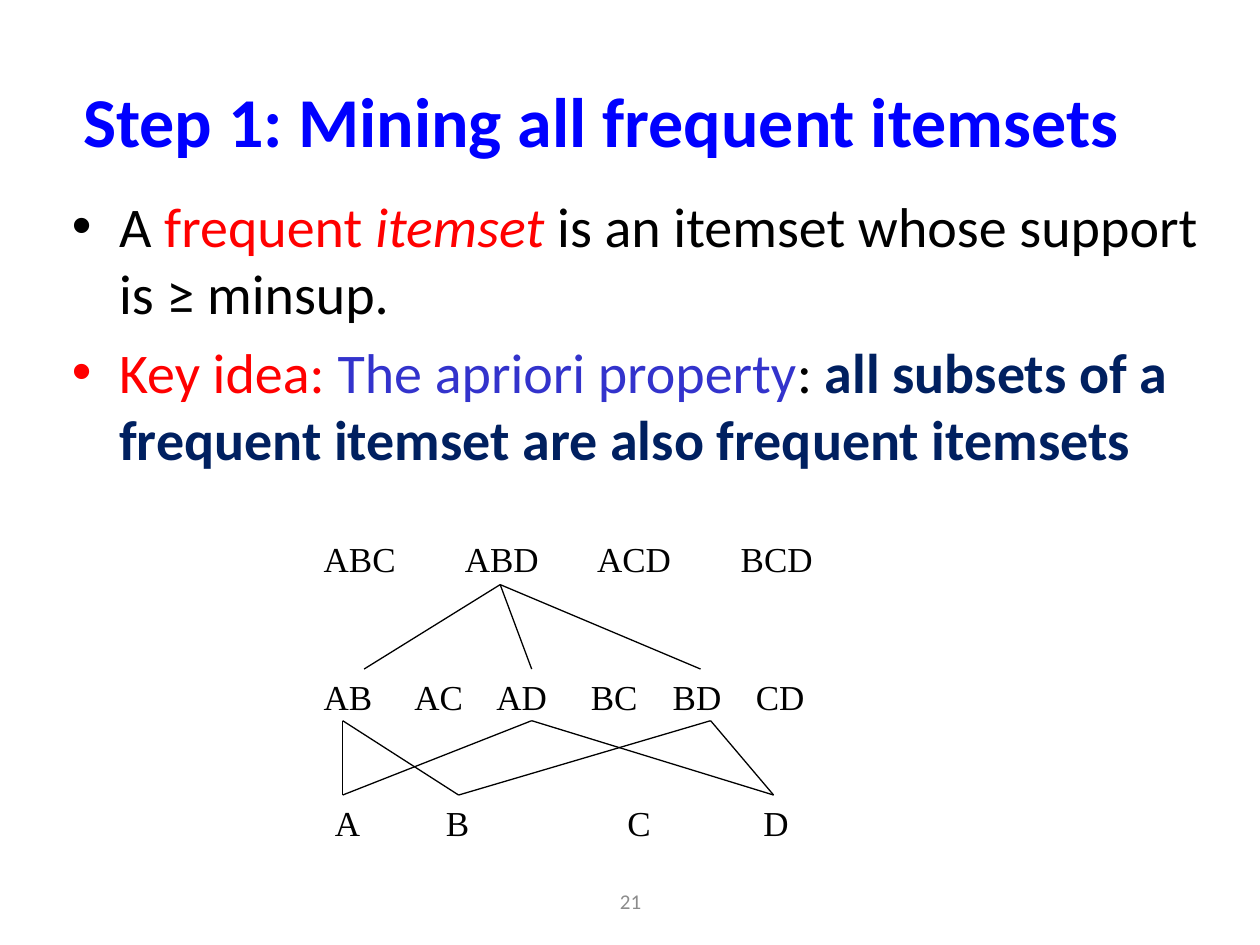
"""Build the slide on mining all frequent itemsets."""
import lxml.etree
import pptx
import pptx.dml.color
import pptx.enum.shapes
import pptx.enum.text
import pptx.oxml.ns
import pptx.util

RGBColor = pptx.dml.color.RGBColor
PP_ALIGN = pptx.enum.text.PP_ALIGN
ANCHOR = pptx.enum.text.MSO_ANCHOR
In = pptx.util.Inches
qn = pptx.oxml.ns.qn

BLACK = RGBColor(0x00, 0x00, 0x00)
BLUE = RGBColor(0x00, 0x00, 0xFF)
RED = RGBColor(0xFF, 0x00, 0x00)
INDIGO = RGBColor(0x33, 0x33, 0xCC)
NAVY = RGBColor(0x00, 0x20, 0x60)
GREY = RGBColor(0x8C, 0x8C, 0x8C)
SANS, SERIF = "Calibri", "Times New Roman"

BULLETS = [
    [("A ", BLACK, False, False), ("frequent ", RED, False, False),
     ("itemset", RED, False, True),
     (" is an itemset whose support is ≥ minsup.", BLACK, False, False)],
    [("Key idea: ", RED, False, False),
     ("The apriori property", INDIGO, False, False),
     (": ", BLACK, False, False),
     ("all subsets of a frequent itemset are also frequent itemsets",
      NAVY, True, False)],
]

LATTICE = [
    (2.47, 4.22, {"ABC": 0, "ABD": 1.12, "ACD": 2.17, "BCD": 3.31}),
    (2.47, 5.31, {"AB": 0, "AC": 0.72, "AD": 1.37, "BC": 2.12,
                  "BD": 2.77, "CD": 3.43}),
    (2.56, 6.31, {"A": 0, "B": 0.88, "C": 2.32, "D": 3.4}),
]
ROW_W, ROW_H = 4.42, 0.43

TRIPLE_Y, PAIR_TOP, PAIR_BOTTOM, ITEM_Y = 4.64, 5.31, 5.72, 6.31
TRIPLE_X = 3.97
PAIR_TOP_X = [2.89, 4.22, 5.56]
PAIR_X = {"AB": 2.72, "AD": 4.22, "BD": 5.64}
ITEM_X = {"A": 2.72, "B": 3.64, "D": 6.14}


def place(sp, left, top, width, height):
    """Move and size a shape in inches."""
    sp.left, sp.top = In(left), In(top)
    sp.width, sp.height = In(width), In(height)


def style(p, name, size, color):
    """Set the font of a whole paragraph."""
    p.font.name, p.font.size = name, pptx.util.Pt(size)
    p.font.color.rgb = color


def add_title(s, text):
    """Fill the title placeholder."""
    sp = s.shapes.title
    place(sp, 0.51, 0.32, 8.52, 1.25)
    sp.text_frame.text = text
    sp.text_frame.vertical_anchor = ANCHOR.MIDDLE
    p = sp.text_frame.paragraphs[0]
    p.alignment = PP_ALIGN.CENTER
    style(p, SANS, 40, BLUE)
    p.font.bold = True


def add_bullets(s, bullets):
    """Fill the body placeholder with bullets of coloured runs."""
    sp = s.placeholders[1]
    place(sp, 0.47, 1.47, 9.29, 2.75)
    tf = sp.text_frame
    tf.auto_size = pptx.enum.text.MSO_AUTO_SIZE.NONE
    for i, runs in enumerate(bullets):
        p = tf.add_paragraph() if i else tf.paragraphs[0]
        p.font.name, p.font.size = SANS, pptx.util.Pt(32)
        for text, color, bold, italic in runs:
            r = p.add_run()
            r.text = text
            r.font.color.rgb = color
            r.font.bold, r.font.italic = bold, italic


def add_text(s, text, box, name, size, color):
    """Add a one-paragraph text box and return its paragraph."""
    sp = s.shapes.add_textbox(*map(In, box))
    tf = sp.text_frame
    tf.word_wrap = True
    tf.text = text
    p = tf.paragraphs[0]
    style(p, name, size, color)
    return p


def add_row(s, left, top, itemsets):
    """Add one level of itemsets, spaced by tab stops."""
    p = add_text(s, "\t".join(itemsets), (left, top, ROW_W, ROW_H),
                 SERIF, 20, BLACK)
    tabs = lxml.etree.Element(qn("a:tabLst"))
    for pos in list(itemsets.values())[1:]:
        lxml.etree.SubElement(tabs, qn("a:tab"), pos=str(In(pos)), algn="l")
    p._p.get_or_add_pPr().insert(0, tabs)


def add_line(s, x1, y1, x2, y2):
    """Add a thin black line without a shadow."""
    sp = s.shapes.add_connector(pptx.enum.shapes.MSO_CONNECTOR.STRAIGHT,
                                *map(In, (x1, y1, x2, y2)))
    sp.line.color.rgb = BLACK
    sp.line.width = pptx.util.Pt(0.75)
    lxml.etree.SubElement(sp._element.spPr, qn("a:effectLst"))


def main():
    """Build and save the slide."""
    prs = pptx.Presentation()
    prs.slide_width, prs.slide_height = In(10), In(7.5)
    s = prs.slides.add_slide(prs.slide_layouts[1])
    add_title(s, "Step 1: Mining all frequent itemsets")
    add_bullets(s, BULLETS)
    for row in LATTICE:
        add_row(s, *row)
    for x in PAIR_TOP_X:
        add_line(s, TRIPLE_X, TRIPLE_Y, x, PAIR_TOP)
    for pair, x in PAIR_X.items():
        for item in pair:
            add_line(s, x, PAIR_BOTTOM, ITEM_X[item], ITEM_Y)
    p = add_text(s, "21", (3.42, 6.95, 3.17, 0.4), SANS, 12, GREY)
    p.alignment = PP_ALIGN.CENTER
    s.shapes[-1].text_frame.vertical_anchor = ANCHOR.MIDDLE
    prs.save("out.pptx")


main()
